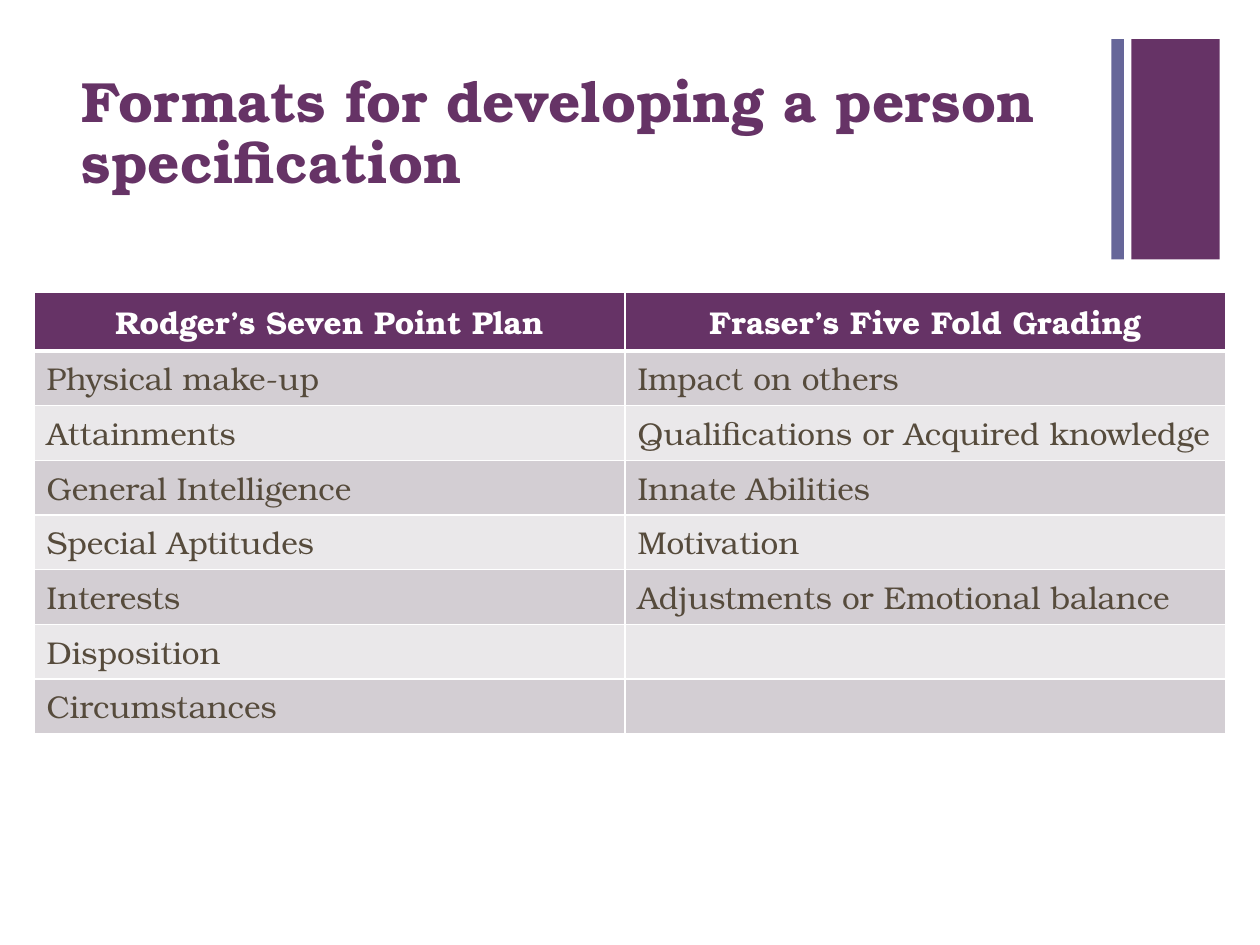
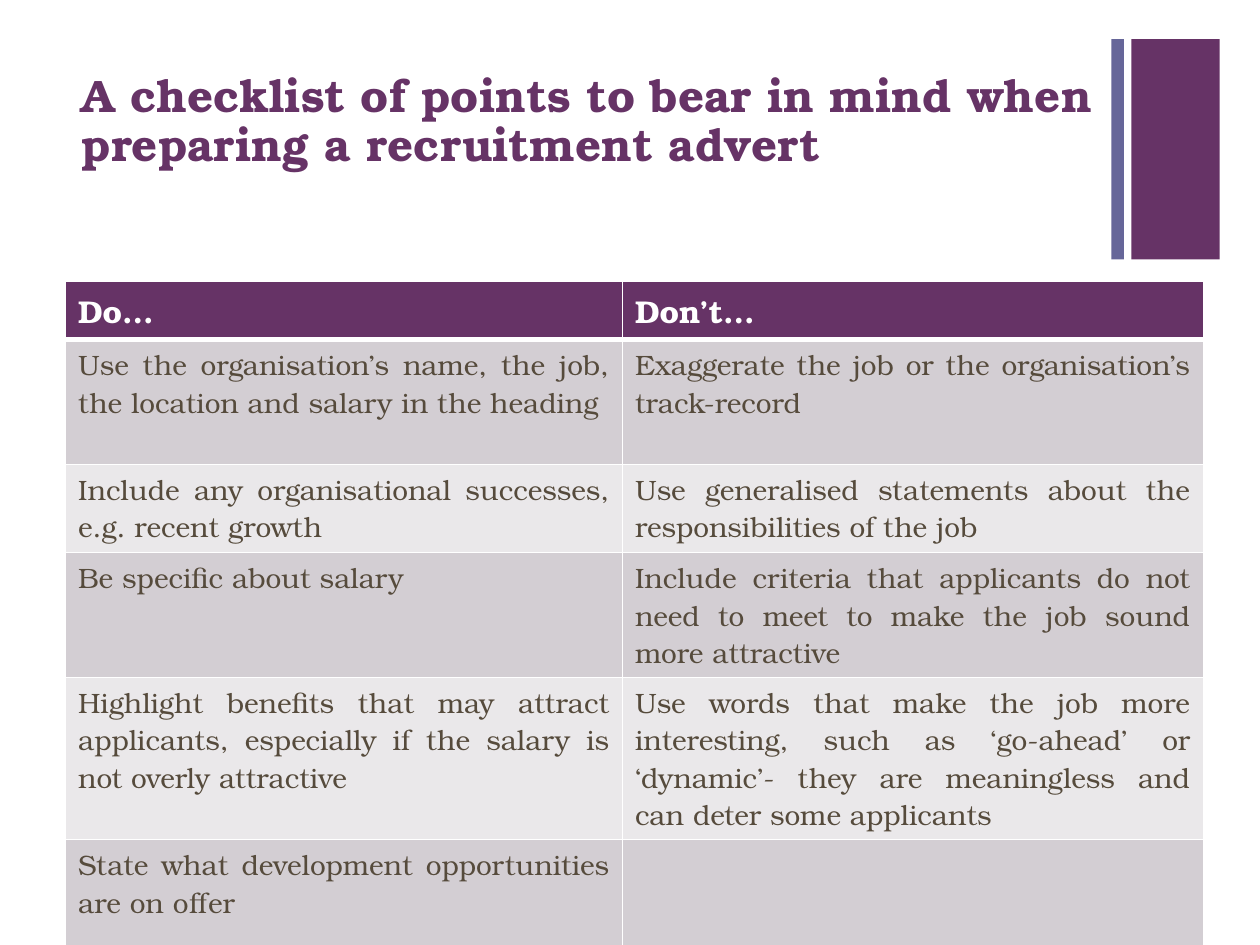
"""Build two slides on person specifications and recruitment adverts."""
from itertools import product
from lxml.etree import SubElement
from pptx import Presentation
from pptx.dml.color import RGBColor
from pptx.enum.shapes import MSO_SHAPE
from pptx.enum.text import MSO_ANCHOR, MSO_AUTO_SIZE, PP_ALIGN
from pptx.oxml.ns import qn
from pptx.util import Inches, Pt

FACE = "TeX Gyre Bonum"
PLUM, BLUE, BROWN, WHITE = "663366", "666699", "564B3C", "FFFFFF"
TINTS = ["EAE8EA", "D3CED3"]
BANDS = [(8.98, 0.7, PLUM), (8.82, 0.1, BLUE)]
TITLE = (0.55, 0.53, 8.26, 1.22)

SLIDES = [
    dict(
        title="Formats for developing a person specification",
        size=32.4, body=18, align=PP_ALIGN.CENTER,
        start=(0.27, 2.32), cols=[4.69, 4.77], rows=[0.46] + [0.43] * 7,
        cells=[
            ("Rodger’s Seven Point Plan", "Fraser’s Five Fold Grading"),
            ("Physical make-up", "Impact on others"),
            ("Attainments", "Qualifications or Acquired knowledge"),
            ("General Intelligence", "Innate Abilities"),
            ("Special Aptitudes", "Motivation"),
            ("Interests", "Adjustments or Emotional balance"),
            ("Disposition", ""),
            ("Circumstances", ""),
        ],
    ),
    dict(
        title="A checklist of points to bear in mind when preparing a recruitment advert",
        size=26, body=16, align=PP_ALIGN.JUSTIFY,
        start=(0.52, 2.23), cols=[4.42, 4.61],
        rows=[0.46, 0.99, 0.7, 0.99, 1.28, 0.85],
        cells=[
            ("Do…", "Don’t…"),
            ("Use the organisation’s name, the job, the location and salary in the heading",
             "Exaggerate the job or the organisation’s track-record"),
            ("Include any organisational successes, e.g. recent growth",
             "Use generalised statements about the responsibilities of the job"),
            ("Be specific about salary",
             "Include criteria that applicants do not need to meet "
             "to make the job sound more attractive"),
            ("Highlight benefits that may attract applicants, "
             "especially if the salary is not overly attractive",
             "Use words that make the job more interesting, such as ‘go-ahead’ or "
             "‘dynamic’- they are meaningless and can deter some applicants"),
            ("State what development opportunities are on offer", ""),
        ],
    ),
]


def paint(fill, hue):
    fill.solid()
    fill.fore_color.rgb = RGBColor.from_string(hue)


def apply(item, **values):
    for name, value in values.items():
        setattr(item, name, value)


def write(frame, text, size, hue, bold, **look):
    frame.text = text
    para = frame.paragraphs[0]
    apply(para, **look)
    apply(para.font, name=FACE, size=Pt(size), bold=bold)
    para.font.color.rgb = RGBColor.from_string(hue)


def edge(cell, head):
    props = cell._tc.get_or_add_tcPr()
    for spot, side in enumerate(("lnL", "lnR", "lnT", "lnB")):
        width = 3 if head and side == "lnB" else 1
        line = props.makeelement(qn("a:" + side), {"w": str(Pt(width))})
        fill = SubElement(line, qn("a:solidFill"))
        SubElement(fill, qn("a:srgbClr"), val=WHITE)
        props.insert(spot, line)


def add_bands(slide):
    for left, width, hue in BANDS:
        band = slide.shapes.add_shape(
            MSO_SHAPE.RECTANGLE, *map(Inches, (left, 0.31, width, 1.75)))
        band.shadow.inherit = False
        paint(band.fill, hue)
        band.line.fill.background()


def add_title(slide, data):
    title = slide.shapes.title
    apply(title, **dict(zip(("left", "top", "width", "height"), map(Inches, TITLE))))
    frame = title.text_frame
    apply(frame, word_wrap=True, auto_size=MSO_AUTO_SIZE.NONE,
          vertical_anchor=MSO_ANCHOR.TOP)
    write(frame, data["title"], data["size"], PLUM, True,
          alignment=PP_ALIGN.LEFT, line_spacing=0.9)


def add_grid(slide, data):
    cols, rows = data["cols"], data["rows"]
    box = map(Inches, (*data["start"], sum(cols), sum(rows)))
    table = slide.shapes.add_table(len(rows), len(cols), *box).table
    for col, width in zip(table.columns, cols):
        col.width = Inches(width)
    for row, height in zip(table.rows, rows):
        row.height = Inches(height)
    for r, c in product(range(len(rows)), range(len(cols))):
        cell, head = table.cell(r, c), r == 0
        paint(cell.fill, PLUM if head else TINTS[r % 2])
        edge(cell, head)
        write(cell.text_frame, data["cells"][r][c], 18 if head else data["body"],
              WHITE if head else BROWN, head,
              alignment=data["align"] if head else PP_ALIGN.JUSTIFY)


def main():
    deck = Presentation()
    apply(deck, slide_width=Inches(10), slide_height=Inches(7.5))
    for data in SLIDES:
        slide = deck.slides.add_slide(deck.slide_layouts[5])
        for step in (add_bands, add_title):
            step(slide) if step is add_bands else step(slide, data)
        add_grid(slide, data)
    deck.save("out.pptx")


if __name__ == "__main__":
    main()
